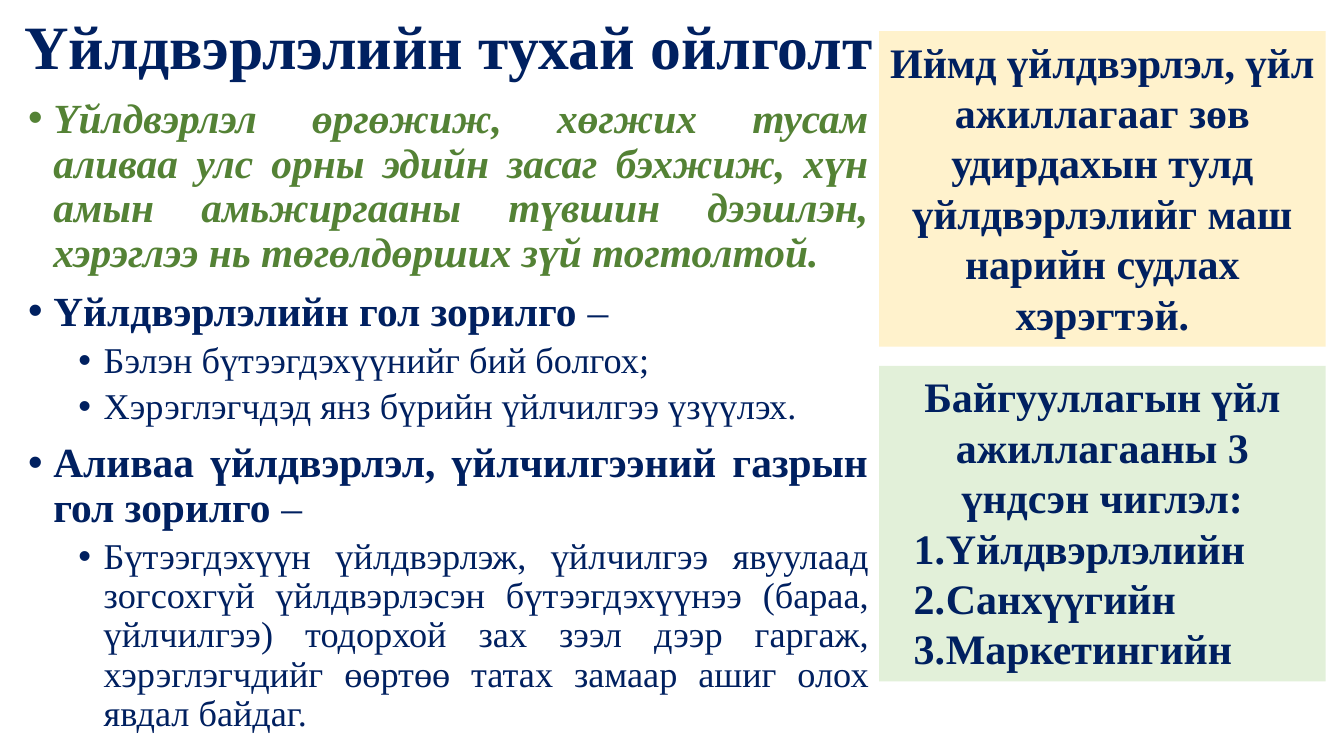
from dataclasses import dataclass
from typing import Optional

from lxml.etree import SubElement
from pptx import Presentation
from pptx.dml.color import RGBColor
from pptx.enum.shapes import MSO_SHAPE
from pptx.enum.text import MSO_ANCHOR, MSO_AUTO_SIZE, PP_ALIGN
from pptx.oxml.ns import qn
from pptx.util import Pt


@dataclass(frozen=True)
class Theme:
    font: str = "Times New Roman"
    bullet_font: str = "Arial"
    navy: str = "002060"
    green: str = "548235"
    cream: str = "FFF2CC"
    mint: str = "E2F0D9"
    title_size: float = 44
    panel_size: float = 30
    level_sizes: tuple = (29.6, 25.9)


THEME = Theme()


@dataclass(frozen=True)
class Span:
    text: str
    size: float
    bold: bool = True
    italic: bool = False
    color: str = THEME.navy


@dataclass(frozen=True)
class Line:
    spans: tuple
    align: PP_ALIGN = PP_ALIGN.JUSTIFY
    level: int = 0
    margin: float = 0
    hanging: float = 0
    spacing: Optional[float] = None
    before: float = 0
    bullet: Optional[str] = None


@dataclass(frozen=True)
class Panel:
    top: float
    fill: str
    lines: tuple


def body_line(*spans: Span, level: int = 0) -> Line:
    return Line(spans, level=level, margin=18 + 36 * level, hanging=18,
                spacing=0.9, before=10 - 5 * level, bullet="•")


def point(text: str) -> Line:
    return body_line(Span(text, THEME.level_sizes[1], bold=False), level=1)


def goal(text: str) -> Line:
    size = THEME.level_sizes[0]
    return body_line(Span(text + " ", size), Span("–", size, bold=False))


def heading(text: str) -> Line:
    return Line((Span(text, THEME.panel_size),), align=PP_ALIGN.CENTER)


def numbered(text: str) -> Line:
    return Line((Span(text, THEME.panel_size),), margin=40.5, hanging=23, bullet="1.")


TITLE = Line((Span("Үйлдвэрлэлийн тухай ойлголт", THEME.title_size),), spacing=0.9)

BODY = (
    body_line(Span("Үйлдвэрлэл өргөжиж, хөгжих тусам аливаа улс орны эдийн засаг бэхжиж, "
                   "хүн амын амьжиргааны түвшин дээшлэн, хэрэглээ нь төгөлдөрших "
                   "зүй тогтолтой.", THEME.level_sizes[0], italic=True, color=THEME.green)),
    goal("Үйлдвэрлэлийн гол зорилго"),
    point("Бэлэн бүтээгдэхүүнийг бий болгох;"),
    point("Хэрэглэгчдэд янз бүрийн үйлчилгээ үзүүлэх."),
    goal("Аливаа үйлдвэрлэл, үйлчилгээний газрын гол зорилго"),
    point("Бүтээгдэхүүн үйлдвэрлэж, үйлчилгээ явуулаад зогсохгүй үйлдвэрлэсэн "
          "бүтээгдэхүүнээ (бараа, үйлчилгээ) тодорхой зах зээл дээр гаргаж, "
          "хэрэглэгчдийг өөртөө татах замаар ашиг олох явдал байдаг."),
)

PANELS = (
    Panel(22.3, THEME.cream, (
        heading("Иймд үйлдвэрлэл, үйл ажиллагааг зөв удирдахын тулд "
                "үйлдвэрлэлийг маш нарийн судлах хэрэгтэй."),
    )),
    Panel(261.4, THEME.mint, (
        heading("Байгууллагын үйл ажиллагааны 3 үндсэн чиглэл:"),
        *map(numbered, ("Үйлдвэрлэлийн", "Санхүүгийн", "Маркетингийн")),
    )),
)


def add_bullet(properties, bullet: str) -> None:
    if bullet == "1.":
        SubElement(properties, qn("a:buFont"), typeface="+mj-lt")
        SubElement(properties, qn("a:buAutoNum"), type="arabicPeriod")
    else:
        SubElement(properties, qn("a:buFont"), typeface=THEME.bullet_font)
        SubElement(properties, qn("a:buChar"), char=bullet)


def write_line(paragraph, line: Line, first: bool) -> None:
    paragraph.alignment = line.align
    paragraph.level = line.level
    paragraph.line_spacing = line.spacing
    paragraph.space_before = Pt(0 if first else line.before)
    if line.bullet:
        properties = paragraph._p.get_or_add_pPr()
        properties.set("marL", str(Pt(line.margin)))
        properties.set("indent", str(-Pt(line.hanging)))
        add_bullet(properties, line.bullet)
    for span in line.spans:
        run = paragraph.add_run()
        run.text = span.text
        run.font.name = THEME.font
        run.font.size = Pt(span.size)
        run.font.bold = span.bold
        run.font.italic = span.italic
        run.font.color.rgb = RGBColor.from_string(span.color)


def write_lines(text_frame, lines: tuple, anchor: MSO_ANCHOR, fit: MSO_AUTO_SIZE) -> None:
    text_frame.word_wrap = True
    text_frame.auto_size = fit
    text_frame.vertical_anchor = anchor
    for index, line in enumerate(lines):
        paragraph = text_frame.add_paragraph() if index else text_frame.paragraphs[0]
        write_line(paragraph, line, first=index == 0)


def add_title(slide) -> None:
    title = slide.shapes.title
    title.left, title.top, title.width, title.height = Pt(10), Pt(5), Pt(667), Pt(61)
    write_lines(title.text_frame, (TITLE,), MSO_ANCHOR.MIDDLE, MSO_AUTO_SIZE.NONE)


def add_body(slide) -> None:
    body = slide.shapes.add_textbox(Pt(13), Pt(66.2), Pt(615), Pt(468.7))
    write_lines(body.text_frame, BODY, MSO_ANCHOR.TOP, MSO_AUTO_SIZE.NONE)


def add_panel(slide, panel: Panel) -> None:
    shape = slide.shapes.add_shape(MSO_SHAPE.RECTANGLE, Pt(628), Pt(panel.top),
                                   Pt(319), Pt(225.4))
    shape.shadow.inherit = False
    shape.fill.solid()
    shape.fill.fore_color.rgb = RGBColor.from_string(panel.fill)
    shape.line.fill.background()
    write_lines(shape.text_frame, panel.lines, MSO_ANCHOR.TOP,
                MSO_AUTO_SIZE.SHAPE_TO_FIT_TEXT)


def main() -> None:
    presentation = Presentation()
    presentation.slide_width, presentation.slide_height = Pt(960), Pt(540)
    slide = presentation.slides.add_slide(presentation.slide_layouts[5])
    add_title(slide)
    add_body(slide)
    for panel in PANELS:
        add_panel(slide, panel)
    presentation.save("out.pptx")


if __name__ == "__main__":
    main()
